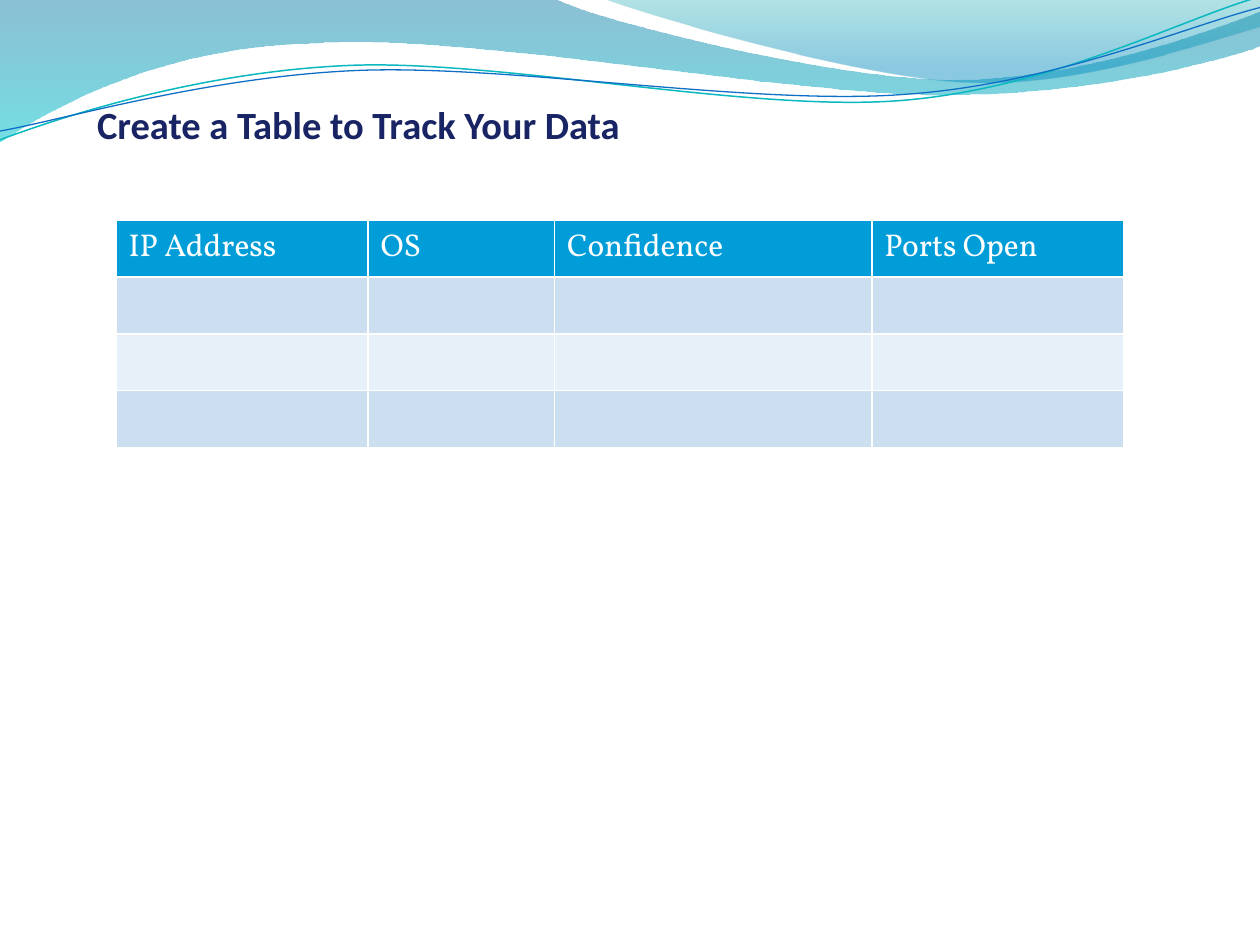
from lxml import etree
from pptx import Presentation
from pptx import util as u
from pptx.dml.color import RGBColor
from pptx.enum import text
from pptx.oxml.ns import qn

INCH = 2.54
UPPER_WAVE = [(0, 0), (4.4, -0.01), (4.76, 0.17, 6.64, 0.63, 7.58, 0.63),
              (8.53, 0.63, 9.58, 0.26, 10, 0.09), (10.01, 0.36),
              (9.83, 0.44, 8.7, 0.76, 7.46, 0.75),
              (6.22, 0.75, 3.82, 0.28, 2.57, 0.34),
              (1.29, 0.36, 0.46, 0.83, -0.01, 1.13)]
RIGHT_WAVE = [(4.79, -0.01), (5.09, 0.11, 6.82, 0.62, 7.69, 0.65),
              (8.56, 0.69, 9.61, 0.32, 10, 0.21), (10, 0)]
TEAL_LINE = [(0, 1.11), (0.48, 0.93, 1.58, 0.57, 2.77, 0.52),
             (3.95, 0.47, 5.93, 0.89, 7.13, 0.8),
             (8.33, 0.71, 9.38, 0.15, 9.98, -0.02)]
BLUE_LINE = [(0, 1.04), (0.47, 0.96, 1.64, 0.61, 2.83, 0.56),
             (4.03, 0.51, 5.97, 0.84, 7.17, 0.75),
             (8.36, 0.67, 9.41, 0.21, 10, 0.06)]


def color(value):
    """Turn a hex string into a colour."""
    return RGBColor.from_string(value)


def cm(inches):
    """Turn inches into a length."""
    return u.Cm(inches * INCH)


def add_path(slide, left, top, path, close):
    """Draw a path of corners and Bezier segments without shadow."""
    corners = [(cm(left + segment[-2]), cm(top + segment[-1])) for segment in path]
    builder = slide.shapes.build_freeform(*corners[0], scale=1.0)
    builder.add_line_segments(corners[1:], close=close)
    shape = builder.convert_to_shape()
    shape.shadow.inherit = False
    nodes = list(shape._element.spPr.iter(qn("a:lnTo")))
    for node, segment in zip(nodes, path[1:]):
        if len(segment) == 6:
            node.tag = qn("a:cubicBezTo")
            for index in (0, 1):
                x, y = segment[2 * index:2 * index + 2]
                point = etree.Element(qn("a:pt"), x=str(cm(left + x) - shape.left),
                                      y=str(cm(top + y) - shape.top))
                node.insert(index, point)
    return shape


def add_wave(slide, left, top, path, stops):
    """Draw a wave with a translucent gradient running downwards."""
    shape = add_path(slide, left, top, path, True)
    shape.line.fill.background()
    shape.fill.gradient()
    shape.fill.gradient_angle = 270
    for stop, (position, value, _) in zip(shape.fill.gradient_stops, stops):
        stop.position = position
        stop.color.rgb = color(value)
    for node, (_, _, opacity) in zip(shape._element.spPr.iter(qn("a:srgbClr")), stops):
        etree.SubElement(node, qn("a:alpha"), val=str(opacity * 1000))


def add_waves(slide, left, top):
    """Draw the banner of waves and thin lines."""
    add_wave(slide, left, top, UPPER_WAVE, [(0, "0074A1", 45), (1, "00C6CF", 55)])
    add_wave(slide, left, top, RIGHT_WAVE, [(0, "00A1A9", 30), (0.8, "008BBF", 45)])
    for path, value, width in [(TEAL_LINE, "0AB8BF", 0.85), (BLUE_LINE, "0F6FC6", 0.75)]:
        shape = add_path(slide, left, top, path, False)
        shape.fill.background()
        shape.line.color.rgb = color(value)
        shape.line.width = u.Pt(width)


def set_title(slide, left, top, width, height):
    """Place and format the title in front of the waves."""
    title = slide.shapes.title
    title.left, title.top, title.width, title.height = map(cm, (left, top, width, height))
    frame = title.text_frame
    frame.text = "Create a Table to Track Your Data"
    frame.vertical_anchor = text.MSO_ANCHOR.TOP
    frame.auto_size = text.MSO_AUTO_SIZE.NONE
    paragraph = frame.paragraphs[0]
    paragraph.alignment = text.PP_ALIGN.LEFT
    font = paragraph.font
    font.name, font.size, font.bold = "Calibri", u.Pt(22), True
    font.color.rgb = color("182463")
    slide.shapes._spTree.append(title._element)


def set_borders(cell, widths):
    """Give a cell white borders of the given widths in points."""
    properties = cell._tc.get_or_add_tcPr()
    for side, width in widths.items():
        line = etree.SubElement(properties, qn(f"a:ln{side}"), w=str(u.Pt(width)))
        fill = etree.SubElement(line, qn("a:solidFill"))
        etree.SubElement(fill, qn("a:srgbClr"), val="FFFFFF")


def add_tracking_table(slide, left, top, row_height):
    """Add the table with a header row and three empty rows."""
    headings = ["IP Address", "OS", "Confidence", "Ports Open"]
    widths = [2, 1.48, 2.52, 2]
    row_fills = ["009DD9", "CCDFF1", "E7EFF8", "CCDFF1"]
    table = slide.shapes.add_table(
        len(row_fills), len(headings), cm(left), cm(top),
        cm(sum(widths)), cm(row_height * len(row_fills))).table
    for column, width in zip(table.columns, widths):
        column.width = cm(width)
    for row_index, (row, fill) in enumerate(zip(table.rows, row_fills)):
        row.height = cm(row_height)
        for cell, heading in zip(row.cells, headings):
            set_borders(cell, dict.fromkeys("LRTB", 1))
            cell.fill.solid()
            cell.fill.fore_color.rgb = color(fill)
            if row_index == 0:
                cell.text = heading
                font = cell.text_frame.paragraphs[0].font
                font.name, font.size, font.bold = "Vollkorn", u.Pt(18), False
                font.color.rgb = color("FFFFFF")


def main():
    """Build the slide and save it."""
    presentation = Presentation()
    presentation.slide_width, presentation.slide_height = cm(10), cm(7.5)
    slide = presentation.slides.add_slide(presentation.slide_layouts[5])
    add_waves(slide, 0, 0)
    set_title(slide, 0.67, 0.75, 5.42, 0.75)
    add_tracking_table(slide, 0.92, 1.75, 0.45)
    presentation.save("out.pptx")


if __name__ == "__main__":
    main()
